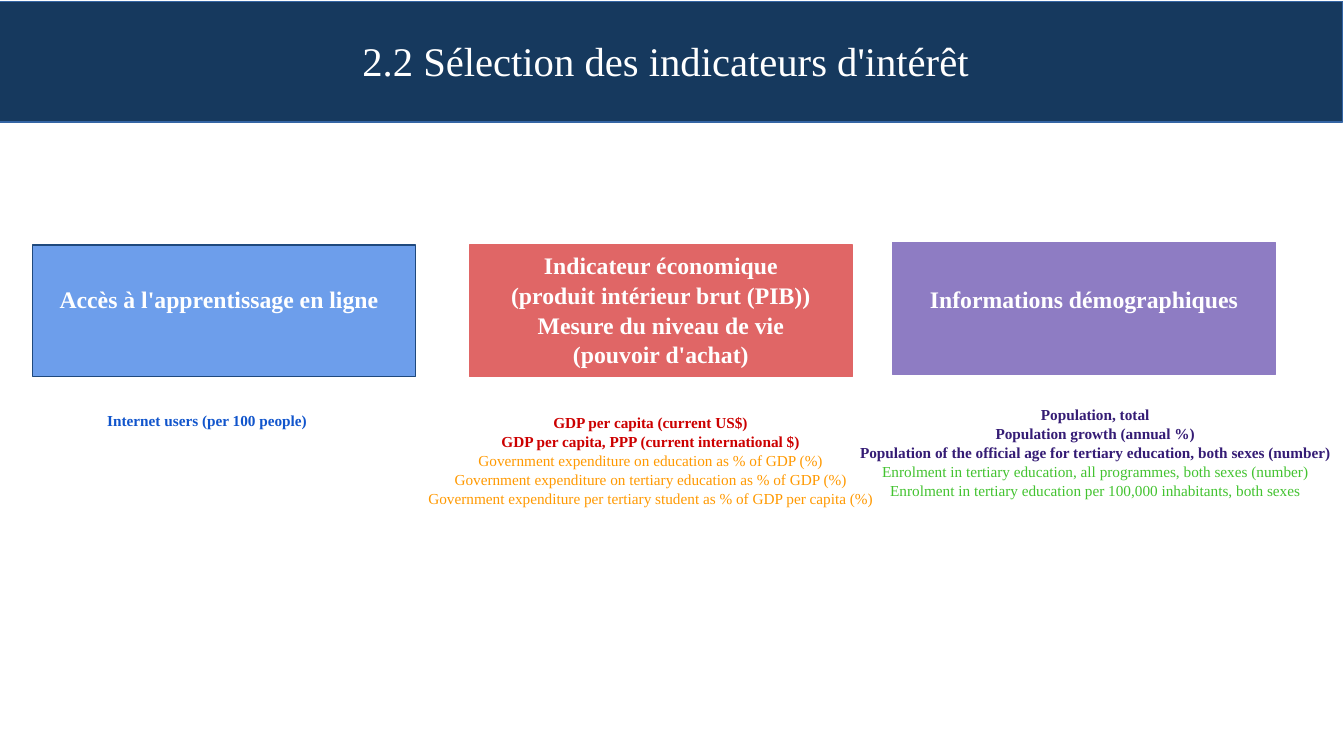
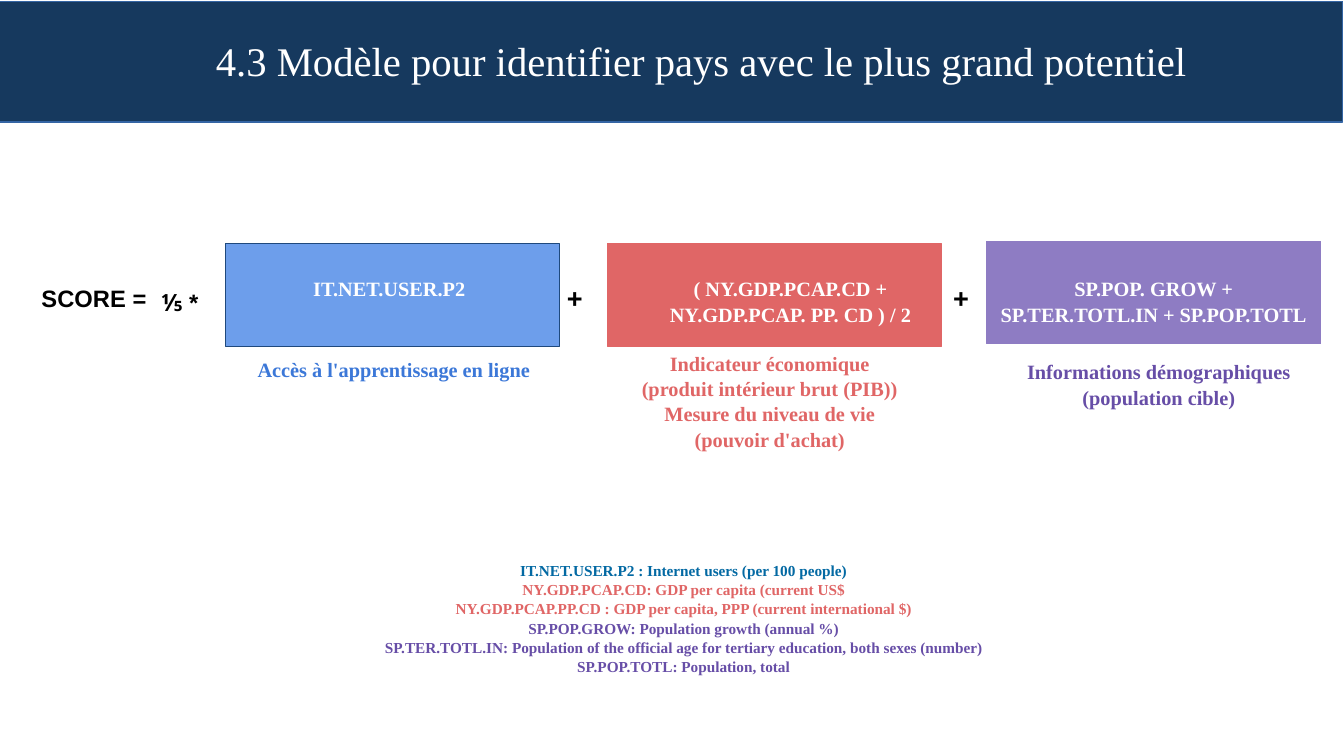
"""Build two slides on choosing indicators and scoring countries."""
from dataclasses import dataclass

from pptx import Presentation
from pptx.dml.color import RGBColor as Rgb
from pptx.enum.shapes import MSO_SHAPE as Preset
from pptx.enum.text import MSO_ANCHOR as Anchor, PP_ALIGN as Align
from pptx.util import Pt


@dataclass(frozen=True)
class Theme:
    serif: str = "Times New Roman"
    sans: str = "Arial"
    title_size: float = 24
    operator_size: float = 16
    heading_size: float = 14
    label_size: float = 12
    list_size: float = 9
    leading: float = 1.04
    white: str = "FFFFFF"
    black: str = "000000"
    navy: str = "16395E"
    band_line: str = "3465A4"
    blue: str = "6D9EEB"
    blue_line: str = "1F497D"
    blue_text: str = "3C78D8"
    link_blue: str = "1155CC"
    code_blue: str = "0369A3"
    coral: str = "E06666"
    red: str = "CC0000"
    orange: str = "FF9900"
    purple: str = "8E7CC3"
    purple_text: str = "674EA7"
    indigo: str = "351C75"
    green: str = "43C330"


theme = Theme()


def write(box, lines, size, font=theme.serif, align=Align.CENTER, anchor=Anchor.TOP,
          insets=(0, 0, 0), leading=theme.leading):
    frame = box.text_frame
    frame.word_wrap = True
    frame.vertical_anchor = anchor
    frame.margin_left, frame.margin_top, frame.margin_right = map(Pt, insets)
    frame.margin_bottom = 0
    for index, (text, color, bold) in enumerate(lines):
        para = frame.add_paragraph() if index else frame.paragraphs[0]
        para.text = text
        para.alignment = align
        para.line_spacing = leading
        para.font.name = font
        para.font.size = Pt(size)
        para.font.bold = bold
        para.font.color.rgb = Rgb.from_string(color)


def add_panel(page, left, top, width, height, fill, line):
    panel = page.shapes.add_shape(Preset.RECTANGLE, Pt(left), Pt(top), Pt(width), Pt(height))
    panel.shadow.inherit = False
    panel.fill.solid()
    panel.fill.fore_color.rgb = Rgb.from_string(fill)
    panel.line.color.rgb = Rgb.from_string(line)
    panel.line.width = Pt(0.75)
    return panel


economy = ["Indicateur économique", "(produit intérieur brut (PIB))",
           "Mesure du niveau de vie", "(pouvoir d'achat)"]
access = ["Accès à l'apprentissage en ligne"]
people = "Informations démographiques"
panel_colors = [(theme.blue, theme.blue_line), (theme.coral, theme.coral),
                (theme.purple, theme.purple)]

slides = [
    {
        "title": "2.2 Sélection des indicateurs d'intérêt",
        "title_center": 393,
        "panel_size": (226, 77.8),
        "panel_text_size": theme.heading_size,
        "panels": [
            (19.4, 144.7, (0, 23, 6), access),
            (277.2, 144.7, (0, 3, 0), economy),
            (527, 143.3, (0, 24.5, 0), [people]),
        ],
        "texts": [
            (122.2, 242.6, 206, theme.list_size, [
                ("Internet users (per 100 people)", theme.link_blue, True),
            ]),
            (384, 243.4, 320, theme.list_size, [
                ("GDP per capita (current US$)", theme.red, True),
                ("GDP per capita, PPP (current international $)", theme.red, True),
                ("Government expenditure on education as % of GDP (%)", theme.orange, False),
                ("Government expenditure on tertiary education as % of GDP (%)",
                 theme.orange, False),
                ("Government expenditure per tertiary student as % of GDP per capita (%)",
                 theme.orange, False),
            ]),
            (646.5, 239, 290, theme.list_size, [
                ("Population, total", theme.indigo, True),
                ("Population growth (annual %)", theme.indigo, True),
                ("Population of the official age for tertiary education, both sexes (number)",
                 theme.indigo, True),
                ("Enrolment in tertiary education, all programmes, both sexes (number)",
                 theme.green, False),
                ("Enrolment in tertiary education per 100,000 inhabitants, both sexes",
                 theme.green, False),
            ]),
        ],
        "operators": [],
    },
    {
        "title": "4.3 Modèle pour identifier pays avec le plus grand potentiel",
        "title_center": 414,
        "panel_size": (197.3, 60.5),
        "panel_text_size": theme.label_size,
        "panels": [
            (133.2, 144, (0, 18.7, 4), ["IT.NET.USER.P2"]),
            (358.6, 144, (19, 18.7, 0), ["( NY.GDP.PCAP.CD +", "NY.GDP.PCAP. PP. CD ) / 2"]),
            (582.5, 142.6, (0, 20.2, 0), ["SP.POP. GROW +", "SP.TER.TOTL.IN + SP.POP.TOTL"]),
        ],
        "texts": [
            (232.6, 210.2, 192, theme.label_size,
             [(text, theme.blue_text, True) for text in access]),
            (454.5, 206.6, 183, theme.label_size,
             [(text, theme.coral, True) for text in economy]),
            (684.2, 211.7, 183, theme.label_size,
             [(text, theme.purple_text, True) for text in (people, "(population cible)")]),
            (403.5, 331.2, 740, theme.list_size, [
                ("IT.NET.USER.P2 : Internet users (per 100 people)", theme.code_blue, True),
                ("NY.GDP.PCAP.CD: GDP per capita (current US$", theme.coral, True),
                ("NY.GDP.PCAP.PP.CD : GDP per capita, PPP (current international $)",
                 theme.coral, True),
                ("SP.POP.GROW: Population growth (annual %)", theme.purple_text, True),
                ("SP.TER.TOTL.IN: Population of the official age for tertiary education, "
                 "both sexes (number)", theme.purple_text, True),
                ("SP.POP.TOTL: Population, total", theme.purple_text, True),
            ]),
        ],
        "operators": [
            ("SCORE =", 24.5, 167, 70, theme.heading_size, Align.LEFT),
            ("⅕ *", 95, 169.2, 34, theme.heading_size, Align.LEFT),
            ("+", 329.4, 165.6, 20, theme.operator_size, Align.CENTER),
            ("+", 557.4, 165.6, 20, theme.operator_size, Align.CENTER),
        ],
    },
]

deck = Presentation()
deck.slide_width, deck.slide_height = Pt(793.44), Pt(446.4)
layout = deck.slide_layouts[5]

for index, content in enumerate(slides):
    page = deck.slides.add_slide(layout)
    if index == 0:
        band = add_panel(page, -0.72, 0.72, 793.44, 71.28, theme.navy, theme.band_line)
        layout.shapes[0].element.addprevious(band.element)

    title = page.shapes.title
    title.left, title.top = Pt(content["title_center"] - 360), Pt(0.72)
    title.width, title.height = Pt(720), Pt(70)
    write(title, [(content["title"], theme.white, False)], theme.title_size,
          anchor=Anchor.MIDDLE, leading=1)

    for (left, top, insets, lines), colors in zip(content["panels"], panel_colors):
        panel = add_panel(page, left, top, *content["panel_size"], *colors)
        write(panel, [(text, theme.white, True) for text in lines],
              content["panel_text_size"], insets=insets)

    for center, top, width, size, lines in content["texts"]:
        box = page.shapes.add_textbox(Pt(center - width / 2), Pt(top), Pt(width),
                                      Pt(len(lines) * size * 1.2))
        write(box, lines, size)

    for text, left, top, width, size, align in content["operators"]:
        box = page.shapes.add_textbox(Pt(left), Pt(top), Pt(width), Pt(size * 1.2))
        write(box, [(text, theme.black, True)], size, theme.sans, align)

deck.save("out.pptx")
